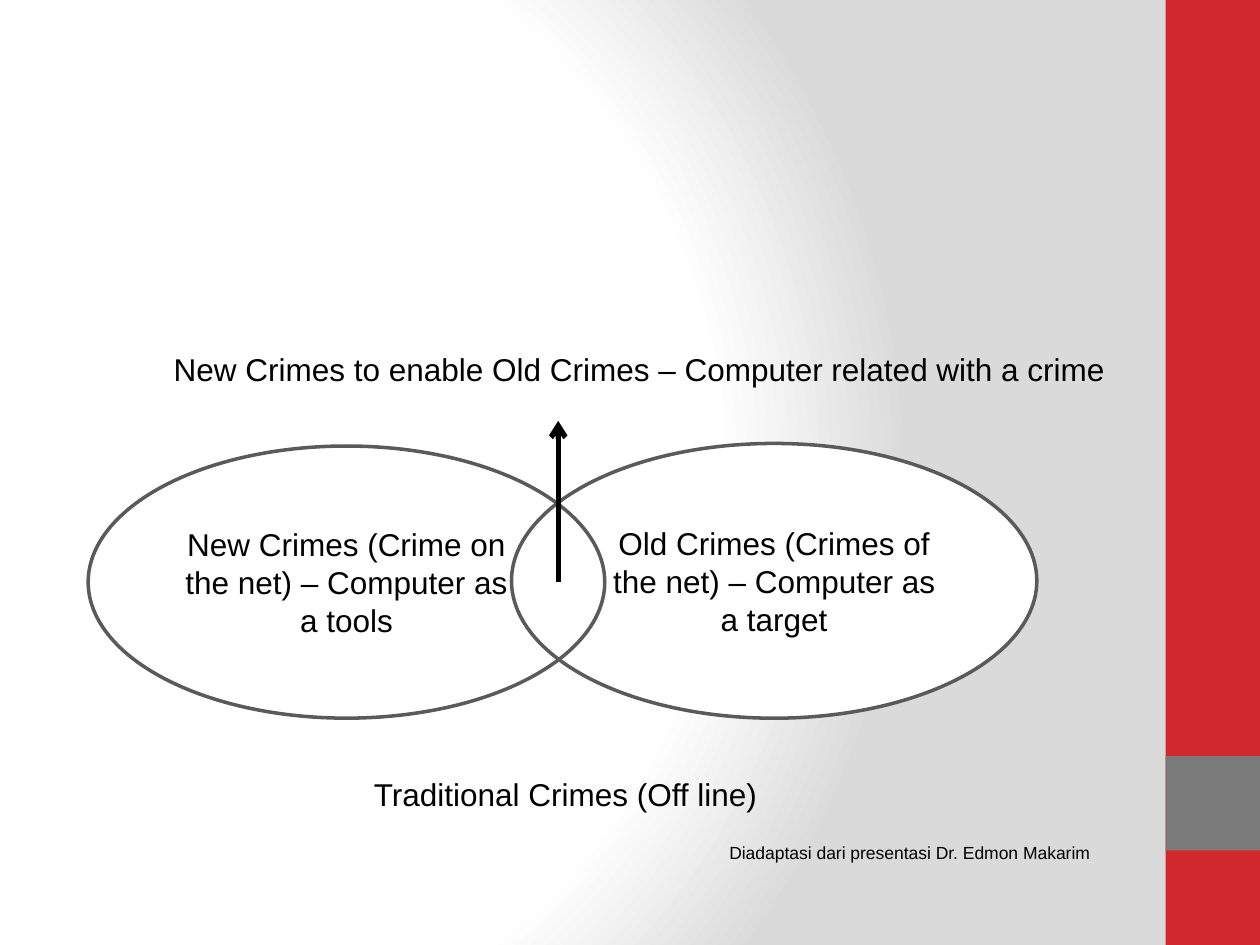
from typing import NamedTuple, Optional

from lxml import etree
from pptx import Presentation
from pptx.dml.color import RGBColor
from pptx.enum.shapes import MSO_CONNECTOR, MSO_SHAPE
from pptx.enum.text import MSO_ANCHOR, MSO_AUTO_SIZE, PP_ALIGN
from pptx.oxml import parse_xml
from pptx.oxml.ns import nsdecls, qn
from pptx.slide import Slide
from pptx.text.text import TextFrame
from pptx.util import Pt

RECTANGLE = MSO_SHAPE.RECTANGLE
ELLIPSE = MSO_SHAPE.OVAL
STRAIGHT = MSO_CONNECTOR.STRAIGHT
MIDDLE = MSO_ANCHOR.MIDDLE
FIT_SHAPE = MSO_AUTO_SIZE.SHAPE_TO_FIT_TEXT
LEFT = PP_ALIGN.LEFT
CENTER = PP_ALIGN.CENTER

RED = RGBColor(0xD1, 0x28, 0x2E)
GRAY = RGBColor(0x7A, 0x7A, 0x7A)
OUTLINE = RGBColor(0x5A, 0x5A, 0x5A)
SHADE = RGBColor(0xDA, 0xDA, 0xDA)
WHITE = RGBColor(0xFF, 0xFF, 0xFF)
BLACK = RGBColor(0, 0, 0)
FONT = "Arial"


class Band(NamedTuple):
    top: float
    height: float
    color: RGBColor


class CrimeSet(NamedTuple):
    left: float
    top: float
    width: float
    height: float
    text: str
    fill: Optional[RGBColor]


class Label(NamedTuple):
    left: float
    top: float
    width: float
    height: float
    text: str
    size: float


BANDS = [Band(0, 540, RED), Band(432, 54, GRAY)]
CRIME_SETS = [
    CrimeSet(292.3, 253.4, 300.2, 157,
             "Old Crimes (Crimes of the net) – Computer as a target", WHITE),
    CrimeSet(50.4, 254.9, 295.2, 155.5,
             "New Crimes (Crime on the net) – Computer as a tools", None),
]
LABELS = [
    Label(206.6, 439.2, 235.4, 28.8, "Traditional Crimes (Off line)", 18),
    Label(92.2, 196.6, 551.5, 28.8,
          "New Crimes to enable Old Crimes – Computer related with a crime", 18),
    Label(409.7, 477.4, 223.2, 19.4,
          "Diadaptasi dari presentasi Dr. Edmon Makarim", 10),
]


def paint_background(slide: Slide) -> None:
    slide.background.fill.solid()
    properties = slide.element.find(".//" + qn("p:bgPr"))
    stops = "".join(
        f'<a:gs pos="{position * 1000}"><a:srgbClr val="{color}"/></a:gs>'
        for position, color in [(0, WHITE), (75, WHITE), (100, SHADE)]
    )
    properties[0] = parse_xml(
        f'<a:gradFill {nsdecls("a")} rotWithShape="1"><a:gsLst>{stops}</a:gsLst>'
        '<a:path path="circle"><a:fillToRect l="20000" t="50000" r="100000" b="50000"/>'
        "</a:path></a:gradFill>"
    )


def write(frame: TextFrame, text: str, size: float, alignment: PP_ALIGN) -> None:
    para = frame.paragraphs[0]
    para.text = text
    para.alignment = alignment
    para.font.name = FONT
    para.font.size = Pt(size)
    para.font.color.rgb = BLACK


def add_band(slide: Slide, band: Band) -> None:
    shape = slide.shapes.add_shape(RECTANGLE, Pt(666), Pt(band.top), Pt(54), Pt(band.height))
    shape.shadow.inherit = False
    shape.fill.solid()
    shape.fill.fore_color.rgb = band.color
    shape.line.fill.background()


def add_crime_set(slide: Slide, crimes: CrimeSet) -> None:
    shape = slide.shapes.add_shape(
        ELLIPSE, Pt(crimes.left), Pt(crimes.top), Pt(crimes.width), Pt(crimes.height))
    shape.shadow.inherit = False
    if crimes.fill is None:
        shape.fill.background()
    else:
        shape.fill.solid()
        shape.fill.fore_color.rgb = crimes.fill
    shape.line.color.rgb = OUTLINE
    shape.line.width = Pt(2)
    frame = shape.text_frame
    frame.word_wrap = True
    frame.vertical_anchor = MIDDLE
    write(frame, crimes.text, 18, CENTER)


def add_label(slide: Slide, label: Label) -> None:
    box = slide.shapes.add_textbox(
        Pt(label.left), Pt(label.top), Pt(label.width), Pt(label.height))
    frame = box.text_frame
    frame.word_wrap = False
    frame.auto_size = FIT_SHAPE
    write(frame, label.text, label.size, LEFT)


def add_arrow(slide: Slide, x: float, start: float, end: float) -> None:
    arrow = slide.shapes.add_connector(STRAIGHT, Pt(x), Pt(start), Pt(x), Pt(end))
    arrow.line.color.rgb = BLACK
    arrow.line.width = Pt(3)
    etree.SubElement(arrow.line._get_or_add_ln(), qn("a:tailEnd"), type="arrow")
    etree.SubElement(arrow.element.spPr, qn("a:effectLst"))


deck = Presentation()
deck.slide_width = Pt(720)
deck.slide_height = Pt(540)
page = deck.slides.add_slide(deck.slide_layouts[6])
paint_background(page)
for side_band in BANDS:
    add_band(page, side_band)
for crime_set in CRIME_SETS:
    add_crime_set(page, crime_set)
add_arrow(page, 319, 332.6, 240.5)
for caption in LABELS:
    add_label(page, caption)
deck.save("out.pptx")
